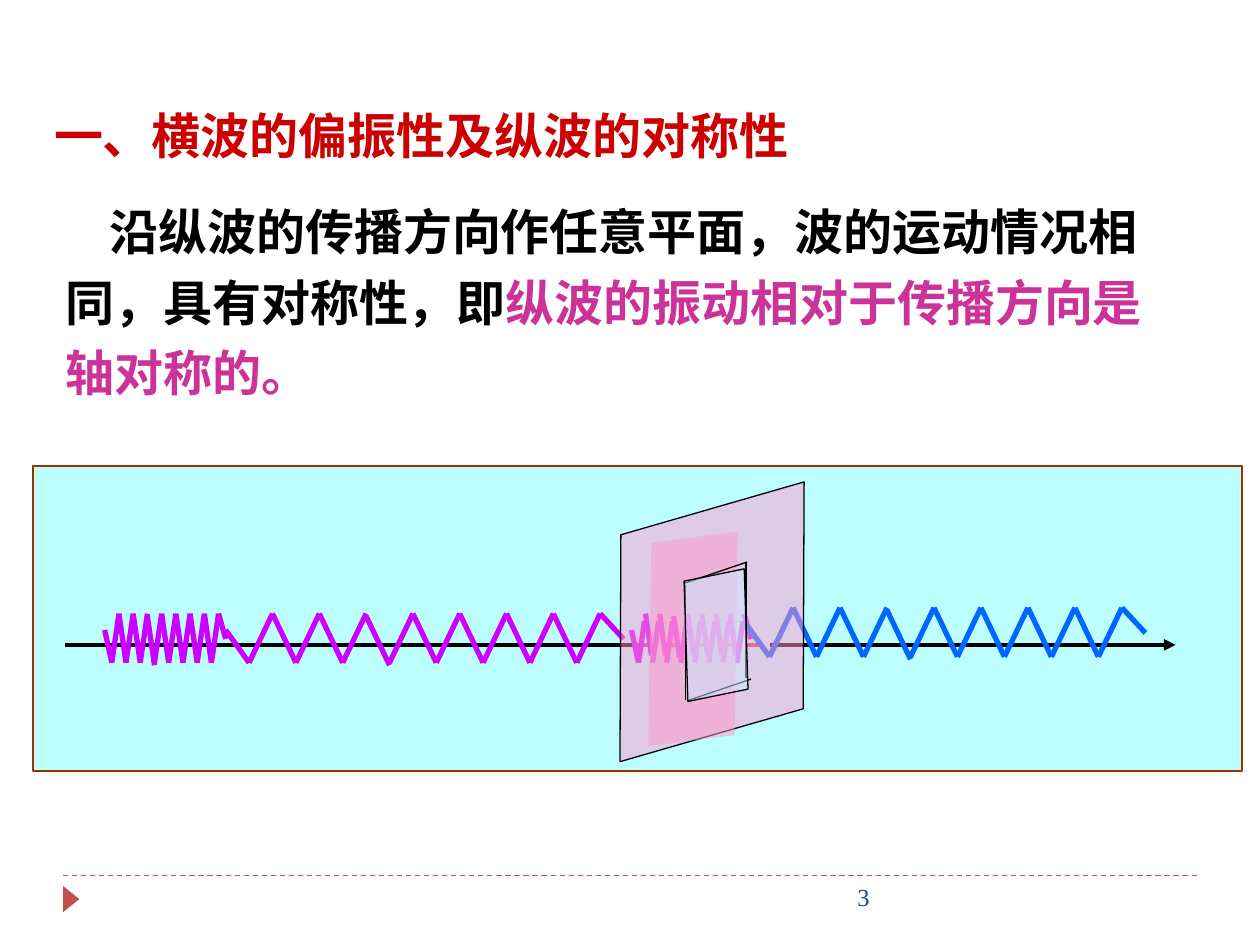
from dataclasses import dataclass

from lxml.etree import SubElement
from pptx import Presentation
from pptx.dml.color import RGBColor
from pptx.enum.dml import MSO_LINE_DASH_STYLE as Dash
from pptx.enum.shapes import MSO_CONNECTOR as Connector, MSO_SHAPE as Preset
from pptx.enum.text import PP_ALIGN as Align
from pptx.oxml.ns import qn
from pptx.util import Cm, Pt


@dataclass(frozen=True)
class Theme:
    title: str = "CC0000"
    black: str = "000000"
    highlight: str = "CC3399"
    accent: str = "C0504D"
    number: str = "1F497D"
    panel: str = "BDFFFF"
    panel_border: str = "993300"
    incoming: str = "CC00FF"
    outgoing: str = "0066FF"
    plane: str = "FF99CC"
    opening: str = "CCECFF"
    latin: str = "Times New Roman"
    chinese: str = "Noto Sans CJK SC"
    text_size: int = 28
    number_size: int = 14
    thin: float = 0.75
    axis: float = 2.25
    wave: int = 3


THEME = Theme()


def add_line(shapes, start, end, color, width, dash=None, arrow=False):
    line = shapes.add_connector(
        Connector.STRAIGHT, *(Cm(value) for value in (*start, *end)))
    line.line.color.rgb = RGBColor.from_string(color)
    line.line.width = Pt(width)
    if dash:
        line.line.dash_style = dash
    if arrow:
        SubElement(line.line._get_or_add_ln(), qn("a:tailEnd"), type="triangle")
    SubElement(line._element.spPr, qn("a:effectLst"))


def add_filled(shapes, preset, box, fill, border=None, width=THEME.thin,
               rotation=0, adjustment=None, opacity=None):
    shape = shapes.add_shape(preset, *(Cm(value) for value in box))
    shape.shadow.inherit = False
    shape.rotation = rotation
    if adjustment is not None:
        shape.adjustments[0] = adjustment
    shape.fill.solid()
    shape.fill.fore_color.rgb = RGBColor.from_string(fill)
    if opacity is not None:
        color = shape._element.spPr.find(qn("a:solidFill"))[0]
        SubElement(color, qn("a:alpha"), val=str(opacity * 1000))
    if border:
        shape.line.color.rgb = RGBColor.from_string(border)
        shape.line.width = Pt(width)
    else:
        shape.line.fill.background()


def add_text(slide, box, pieces, size, font, bold=False, spacing=None,
             indent=0, align=Align.LEFT, margin_top=0.13):
    """Write one paragraph; pieces are (text, colour) pairs."""
    frame = slide.shapes.add_textbox(*(Cm(value) for value in box)).text_frame
    frame.word_wrap = True
    frame.margin_top = Cm(margin_top)
    paragraph = frame.paragraphs[0]
    paragraph.alignment = align
    if spacing:
        paragraph.line_spacing = Pt(spacing)
    if indent:
        properties = paragraph._p.get_or_add_pPr()
        properties.set("marL", "0")
        properties.set("indent", str(Cm(indent)))
    for text, color in pieces:
        run = paragraph.add_run()
        run.text = text
        run.font.size = Pt(size)
        run.font.bold = bold
        run.font.name = font
        run.font.color.rgb = RGBColor.from_string(color)
        SubElement(run._r.get_or_add_rPr(), qn("a:ea"), typeface=THEME.chinese)


def add_wave(shapes, left, right, color, shift=0, dash=None, segments=17):
    """Zigzag of equal steps; the seventh stroke sits slightly lower."""
    start, low, high, end = (y + shift for y in (12.7, 13.36, 12.37, 12.88))
    step = (right - left) / segments
    heights = [start] + [low, high] * (segments // 2) + [end]
    for index, (y1, y2) in enumerate(zip(heights, heights[1:])):
        drop = 0.05 if index == 6 else 0
        x = left + index * step
        add_line(shapes, (x, y1 + drop), (x + step, y2 + drop),
                 color, THEME.wave, dash)


def add_incoming_side(slide):
    shapes = slide.shapes.add_group_shape().shapes
    # Propagation axis
    axis_y = 13
    add_line(shapes, (1.32, axis_y), (12.95, axis_y), THEME.black, THEME.axis)
    add_line(shapes, (12.83, axis_y), (15.44, axis_y), THEME.accent,
             THEME.axis, Dash.DASH)
    add_line(shapes, (15.52, axis_y), (23.7, axis_y), THEME.black,
             THEME.axis, arrow=True)
    # Compressed and stretched parts of the wave
    add_wave(shapes, 12.73, 15.14, THEME.incoming, dash=Dash.LONG_DASH_DOT)
    add_wave(shapes, 4.55, 12.57, THEME.incoming)
    add_wave(shapes, 2.11, 4.55, THEME.incoming)


def add_plane(slide):
    shapes = slide.shapes.add_group_shape().shapes
    # Plate and the band across it
    add_filled(shapes, Preset.PARALLELOGRAM, (11.79, 10.34, 5.13, 4.39),
               THEME.plane, THEME.black, rotation=343.9, adjustment=0.293,
               opacity=50)
    add_filled(shapes, Preset.PARALLELOGRAM, (12.8, 10.85, 2.34, 4.06),
               THEME.plane, rotation=352.7, adjustment=0.25, opacity=50)
    # Edges of the opening
    for start, end in (((13.82, 11.79), (13.82, 14.12)),
                       ((15.04, 11.33), (15.04, 13.67)),
                       ((13.79, 11.76), (15.06, 11.33)),
                       ((13.87, 14.12), (15.14, 13.69))):
        add_line(shapes, start, end, THEME.black, THEME.thin)
    add_filled(shapes, Preset.PARALLELOGRAM, (13.61, 11.61, 1.65, 2.39),
               THEME.opening, THEME.black, rotation=348.4, adjustment=0.25,
               opacity=50)


def main():
    presentation = Presentation()
    presentation.slide_width, presentation.slide_height = Cm(25.4), Cm(19.05)
    slide = presentation.slides.add_slide(presentation.slide_layouts[6])

    # Footer decoration
    add_line(slide.shapes, (1.27, 17.65), (24.13, 17.65), THEME.accent,
             THEME.thin, Dash.DASH)
    add_filled(slide.shapes, Preset.ISOSCELES_TRIANGLE,
               (1.17, 17.96, 0.53, 0.33), THEME.accent, rotation=90)

    # Heading and explanation
    add_text(slide, (0.84, 1.93, 17.02, 1.45),
             [("一、横波的偏振性及纵波的对称性", THEME.title)],
             THEME.text_size, THEME.latin, bold=True, spacing=33.6,
             margin_top=0.2)
    add_text(slide, (1.07, 3.61, 22.5, 4.52),
             [("沿纵波的传播方向作任意平面，波的运动情况相同，具有对称性，即",
               THEME.black),
              ("纵波的振动相对于传播方向是轴对称的。", THEME.highlight)],
             THEME.text_size, THEME.chinese, bold=True, spacing=40.3,
             indent=0.89, margin_top=0.22)

    # Longitudinal wave passing through the slit
    add_filled(slide.shapes, Preset.RECTANGLE, (0.66, 9.4, 24.38, 6.15),
               THEME.panel, THEME.panel_border, width=1)
    add_incoming_side(slide)
    add_wave(slide.shapes.add_group_shape().shapes, 15.04, 23.09,
             THEME.outgoing, shift=-0.12)
    add_plane(slide)

    # Page number
    add_text(slide, (8.05, 17.65, 9.73, 1.02), [("3", THEME.number)],
             THEME.number_size, THEME.latin, align=Align.RIGHT)
    presentation.save("out.pptx")


if __name__ == "__main__":
    main()
